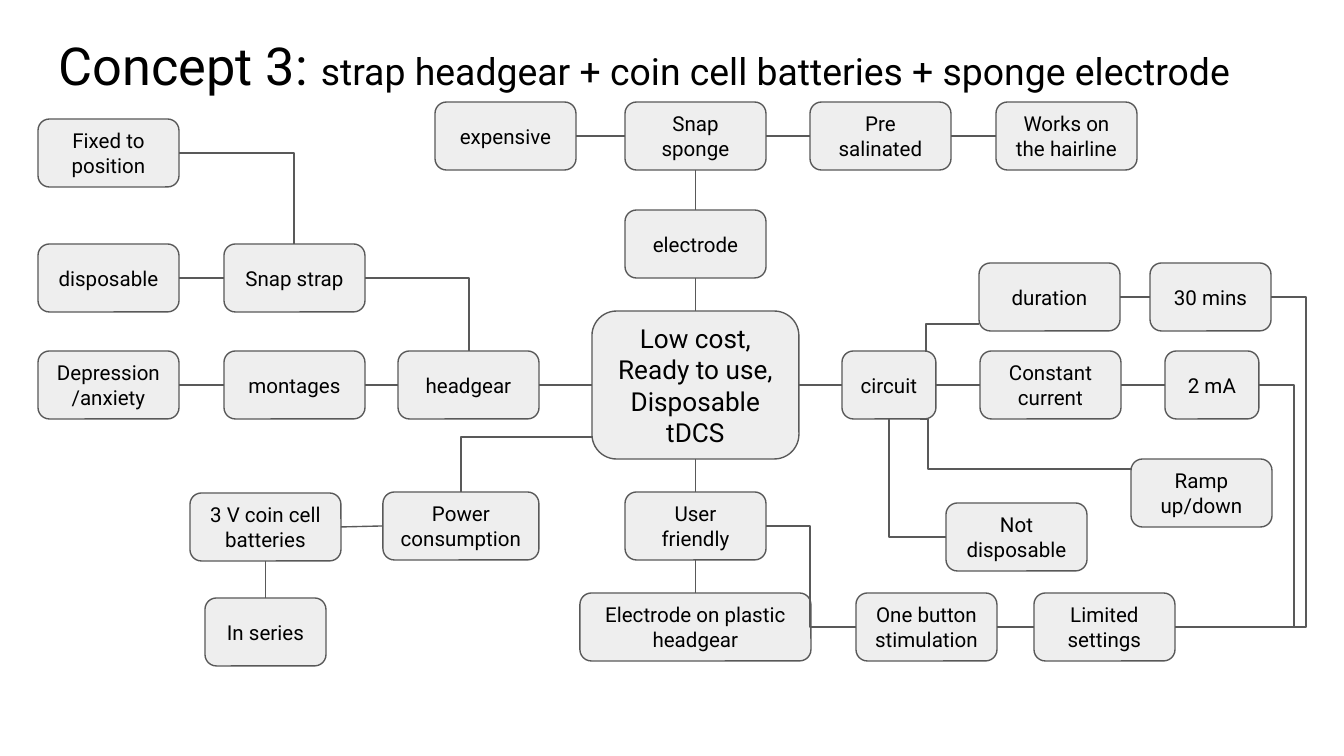
import pptx
import pptx.dml.color
import pptx.enum.shapes
import pptx.enum.text
import pptx.oxml.ns
import pptx.util
from lxml import etree

WIDE, HIGH = 1344, 756
SCALE = 9144000 / WIDE
FONT, INK, EDGE, FACE = "Roboto", "000000", "595959", "EEEEEE"
BOX_W, BOX_H = 141, 68
TOP, LEFT, BOTTOM, RIGHT = range(4)

# text, left, top, width
NODES = [
    ("expensive", 435, 102, BOX_W),
    ("Snap sponge", 625, 102, BOX_W),
    ("Pre salinated", 810, 102, BOX_W),
    ("Works on the hairline", 996, 102, BOX_W),
    ("electrode", 625, 210, BOX_W),
    ("Fixed to position", 38, 119, BOX_W),
    ("disposable", 38, 244, BOX_W),
    ("Snap strap", 224, 244, BOX_W),
    ("Depression/anxiety", 38, 351, BOX_W),
    ("montages", 224, 351, BOX_W),
    ("headgear", 398, 351, BOX_W),
    ("circuit", 842, 351, 94),
    ("Constant current", 980, 351, BOX_W),
    ("2 mA", 1165, 351, 94),
    ("duration", 979, 263, BOX_W),
    ("30 mins", 1150, 263, 121),
    ("Ramp up/down", 1131, 459, BOX_W),
    ("Not disposable", 946, 503, BOX_W),
    ("User\nfriendly", 625, 492, BOX_W),
    ("Electrode on plastic headgear", 580, 593, 231),
    ("One button stimulation", 856, 593, BOX_W),
    ("Limited settings", 1034, 593, BOX_W),
    ("Power consumption", 383, 492, 156),
    ("3 V coin cell batteries", 190, 493, 151),
    ("In series", 205, 598, 121),
]
CORE = "Low cost, Ready to use, Disposable tDCS"

# each chain runs through its nodes in order
ROWS = [
    ("expensive", "Snap sponge", "Pre salinated", "Works on the hairline"),
    ("disposable", "Snap strap"),
    ("Depression/anxiety", "montages", "headgear", CORE,
     "circuit", "Constant current", "2 mA"),
    ("duration", "30 mins"),
    ("One button stimulation", "Limited settings"),
    ("3 V coin cell batteries", "Power consumption"),
]
COLUMNS = [
    ("Snap sponge", "electrode", CORE, "User\nfriendly",
     "Electrode on plastic headgear"),
    ("3 V coin cell batteries", "In series"),
]

# start, end, x of the upright part
BENDS = [
    ((179, 153), (294, 244), 294),
    ((365, 278), (469, 351), 469),
    ((592, 437), (461, 492), 461),
    ((979, 324), (926, 352), 926),
    ((946, 537), (889, 419), 889),
    ((920, 419), (1131, 469), 928),
    ((766, 526), (856, 627), 810),
    ((1271, 297), (1175, 627), 1306),
    ((1259, 385), (1175, 627), 1294),
]


def px(n):
    return pptx.util.Emu(round(n * SCALE))


def rgb(code):
    return pptx.dml.color.RGBColor.from_string(code)


def write(para, text, size):
    run = para.add_run()
    run.text = text
    run.font.name = FONT
    run.font.size = pptx.util.Pt(size)
    run.font.color.rgb = rgb(INK)


def pad(frame):
    """Wrap the text and set equal insets."""
    frame.word_wrap = True
    for side in ("left", "top", "right", "bottom"):
        setattr(frame, "margin_" + side, px(13))


def stroke(line):
    line.color.rgb = rgb(EDGE)
    line.width = pptx.util.Pt(0.75)


def node(slide, text, left, top, width, height=BOX_H, size=11):
    kind = pptx.enum.shapes.MSO_SHAPE.ROUNDED_RECTANGLE
    box = slide.shapes.add_shape(kind, px(left), px(top), px(width), px(height))
    box.shadow.inherit = False
    box.fill.solid()
    box.fill.fore_color.rgb = rgb(FACE)
    stroke(box.line)
    frame = box.text_frame
    pad(frame)
    frame.vertical_anchor = pptx.enum.text.MSO_ANCHOR.MIDDLE
    for i, part in enumerate(text.split("\n")):
        para = frame.add_paragraph() if i else frame.paragraphs[0]
        para.alignment = pptx.enum.text.PP_ALIGN.CENTER
        write(para, part, size)
    return box


def wire(slide, kind, start, end):
    """Add a plain connector without shadow."""
    line = slide.shapes.add_connector(kind, *map(px, start + end))
    stroke(line.line)
    etree.SubElement(line._element.spPr, pptx.oxml.ns.qn("a:effectLst"))
    return line


def chain(slide, boxes, names, out, into):
    """Join neighbours from side out to side into."""
    kind = pptx.enum.shapes.MSO_CONNECTOR.STRAIGHT
    for one, two in zip(names, names[1:]):
        line = wire(slide, kind, (0, 0), (0, 0))
        line.begin_connect(boxes[one], out)
        line.end_connect(boxes[two], into)


def bend(slide, start, end, turn):
    """Draw a bent line; a turn at the end's x gives a single corner."""
    line = wire(slide, pptx.enum.shapes.MSO_CONNECTOR.ELBOW, start, end)
    geom = line._element.spPr.find(pptx.oxml.ns.qn("a:prstGeom"))
    if turn == end[0]:
        geom.set("prst", "bentConnector2")
        return
    share = (turn - start[0]) / (end[0] - start[0])
    list_ = geom.find(pptx.oxml.ns.qn("a:avLst"))
    if list_ is None:
        list_ = etree.SubElement(geom, pptx.oxml.ns.qn("a:avLst"))
    etree.SubElement(list_, pptx.oxml.ns.qn("a:gd"), name="adj1",
                     fmla=f"val {round(share * 100000)}")


def title(slide):
    box = slide.shapes.add_textbox(px(46), px(20), px(1253), px(75))
    pad(box.text_frame)
    para = box.text_frame.paragraphs[0]
    write(para, "Concept 3: ", 28)
    write(para, "strap headgear + coin cell batteries + sponge electrode", 20)


def main():
    deck = pptx.Presentation()
    deck.slide_width, deck.slide_height = px(WIDE), px(HIGH)
    slide = deck.slides.add_slide(deck.slide_layouts[6])
    boxes = {CORE: node(slide, CORE, 592, 311, 207, 148, 14)}
    for text, left, top, width in NODES:
        boxes[text] = node(slide, text, left, top, width)
    for names in ROWS:
        chain(slide, boxes, names, RIGHT, LEFT)
    for names in COLUMNS:
        chain(slide, boxes, names, BOTTOM, TOP)
    for start, end, turn in BENDS:
        bend(slide, start, end, turn)
    title(slide)
    deck.save("out.pptx")


if __name__ == "__main__":
    main()
